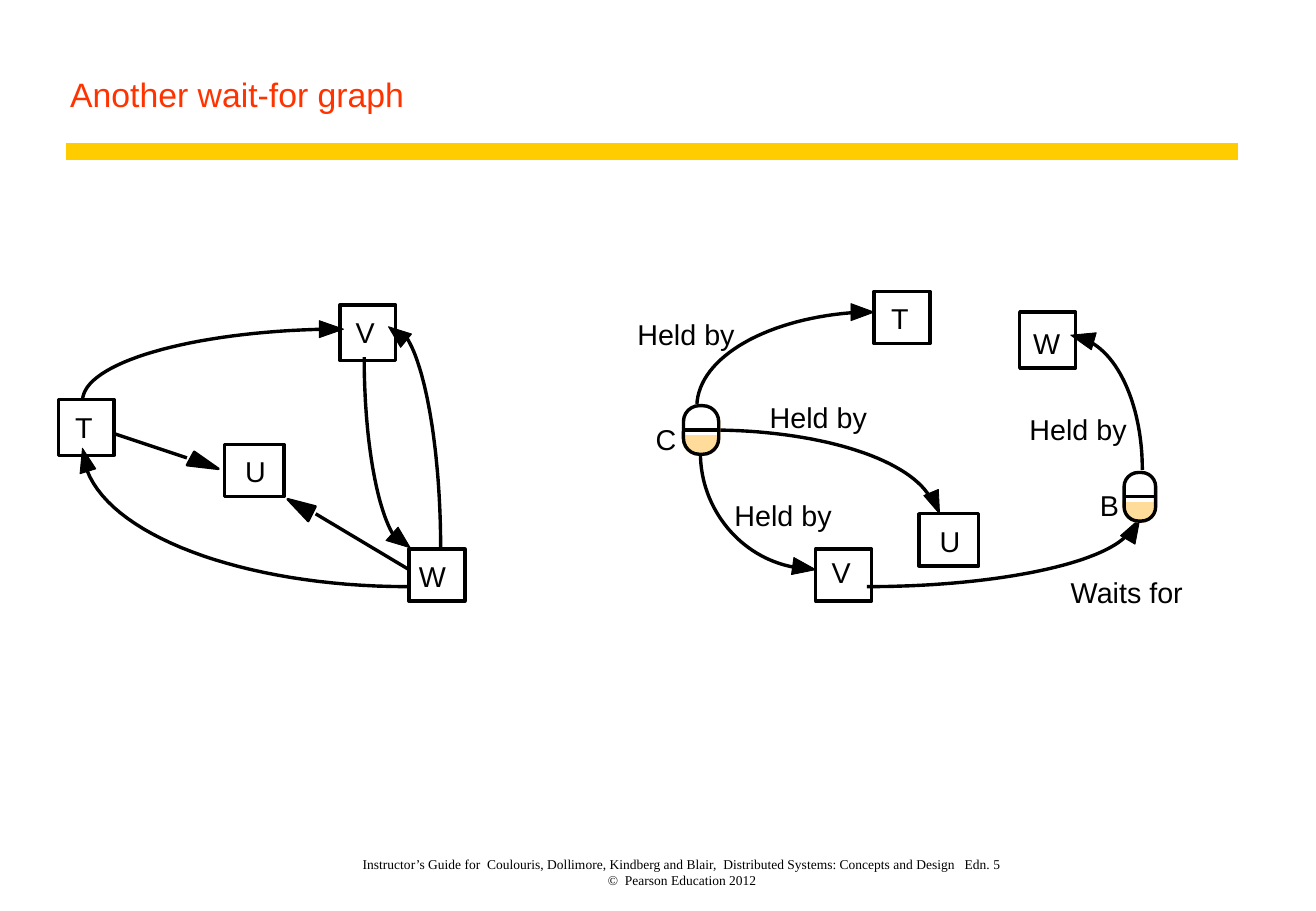
from lxml import etree
from pptx import Presentation
from pptx import util as u
from pptx.dml.color import RGBColor
from pptx.enum import shapes, text
from pptx.oxml.ns import qn

BLACK, WHITE, SAND, GOLD, RED = "000000", "FFFFFF", "FFDC99", "FFCC00", "FF3300"
INCH = 2.54  # the layout below is measured in inches


def paint(sp, fill=None, line=None, width=2):
    """Fill and outline a shape, or colour a connector."""
    if hasattr(sp, "fill"):
        sp.shadow.inherit = False
        if fill:
            sp.fill.solid()
            sp.fill.fore_color.rgb = RGBColor.from_string(fill)
        else:
            sp.fill.background()
    else:
        etree.SubElement(sp._element.spPr, qn("a:effectLst"))
    if line:
        sp.line.color.rgb = RGBColor.from_string(line)
        sp.line.width = u.Pt(width)
    else:
        sp.line.fill.background()


def write(words, box, size=17, name="Arial", color=BLACK, **frame):
    """Add a text box; frame holds text frame attributes."""
    tf = s.shapes.add_textbox(*(u.Cm(v * INCH) for v in box)).text_frame
    values = {"margin_left": 0, "margin_top": 0, "margin_right": 0,
              "margin_bottom": 0, "word_wrap": True, **frame}
    for key, value in values.items():
        setattr(tf, key, value)
    p = tf.paragraphs[0]
    p.text = words
    for key, value in {"size": u.Pt(size), "name": name}.items():
        setattr(p.font, key, value)
    p.font.color.rgb = RGBColor.from_string(color)
    return p


prs = Presentation()
prs.slide_width, prs.slide_height = u.Cm(10.84 * INCH), u.Cm(7.5 * INCH)
s = prs.slides.add_slide(prs.slide_layouts[6])

# Footer and title
p = write("Instructor’s Guide for  Coulouris, Dollimore, Kindberg and Blair,  "
          "Distributed Systems: Concepts and Design   Edn. 5\v"
          "©  Pearson Education 2012", (2.32, 6.92, 6.6, 0.39), 8,
          "Times New Roman", vertical_anchor=text.MSO_ANCHOR.BOTTOM)
p.alignment = text.PP_ALIGN.CENTER
write("Another wait-for graph", (0.48, 0, 9.72, 1), 20, color=RED,
      vertical_anchor=text.MSO_ANCHOR.BOTTOM,
      margin_left=u.Cm(0.25), margin_bottom=u.Cm(0.15))

# Transactions: name, box, label position
nodes = [
    ("T", (0.48, 3.29, 0.46, 0.46), (0.62, 3.37)),
    ("U", (1.85, 3.66, 0.49, 0.43), (2.02, 3.74)),
    ("V", (2.8, 2.51, 0.46, 0.46), (2.93, 2.59)),
    ("W", (3.37, 4.52, 0.46, 0.43), (3.45, 4.6)),
    ("T", (7.2, 2.4, 0.46, 0.43), (7.34, 2.48)),
    ("U", (7.57, 4.23, 0.49, 0.43), (7.74, 4.31)),
    ("V", (6.72, 4.52, 0.46, 0.43), (6.85, 4.57)),
    ("W", (8.4, 2.57, 0.46, 0.46), (8.51, 2.68)),
]
for name, box, label in nodes:
    sp = s.shapes.add_shape(shapes.MSO_SHAPE.RECTANGLE,
                            *(u.Cm(v * INCH) for v in box))
    paint(sp, WHITE, BLACK)
    write(name, (*label, 0.26, 0.28))

# Curved edges: four Bezier points
curves = [
    [(0.68, 3.3), (0.68, 2.99), (1.57, 2.73), (2.7, 2.71)],
    [(3.36, 4.83), (2, 4.83), (0.86, 4.4), (0.7, 3.82)],
    [(3.63, 4.52), (3.63, 3.73), (3.51, 3.03), (3.35, 2.78)],
    [(3, 2.94), (3, 3.6), (3.1, 4.19), (3.25, 4.42)],
    [(5.74, 3.34), (5.75, 2.94), (6.33, 2.61), (7.09, 2.57)],
    [(5.85, 3.54), (6.71, 3.54), (7.46, 3.76), (7.66, 4.09)],
    [(5.77, 3.73), (5.77, 4.19), (6.1, 4.59), (6.54, 4.67)],
    [(7.14, 4.83), (8.14, 4.83), (9.02, 4.66), (9.27, 4.42)],
    [(9.41, 3.87), (9.41, 3.37), (9.23, 2.94), (8.97, 2.81)],
]
STEPS = 32
for curve in curves:
    points = []
    for i in range(STEPS + 1):
        t = i / STEPS
        weights = ((1 - t) ** 3, 3 * t * (1 - t) ** 2, 3 * t * t * (1 - t), t ** 3)
        points.append([u.Cm(INCH * sum(w * c[axis] for w, c in zip(weights, curve)))
                       for axis in (0, 1)])
    fb = s.shapes.build_freeform(*points[0])
    fb.add_line_segments(points[1:], close=False)
    paint(fb.convert_to_shape(), line=BLACK)

# Arrowheads: base corner, base corner, tip
curve_heads = [
    [(2.63, 2.78), (2.63, 2.64), (2.83, 2.71)],
    [(0.79, 3.86), (0.66, 3.9), (0.68, 3.69)],
    [(3.39, 2.75), (3.3, 2.86), (3.2, 2.69)],
    [(3.18, 4.45), (3.28, 4.34), (3.38, 4.51)],
    [(7.01, 2.64), (7.01, 2.5), (7.2, 2.57)],
    [(7.61, 4.08), (7.73, 4.03), (7.74, 4.23)],
    [(6.52, 4.73), (6.54, 4.59), (6.72, 4.69)],
    [(9.35, 4.48), (9.23, 4.41), (9.39, 4.27)],
    [(9.03, 2.74), (8.99, 2.88), (8.82, 2.76)],
]
straight_heads = [
    [(1.6, 3.72), (1.54, 3.83), (1.8, 3.86)],
    [(2.54, 4.29), (2.6, 4.17), (2.37, 4.11)],
]
for heads, width in [(curve_heads, 0.5), (straight_heads, 1.5)]:
    for head in heads:
        points = [[u.Cm(v * INCH) for v in point] for point in head]
        fb = s.shapes.build_freeform(*points[0])
        fb.add_line_segments(points[1:])
        paint(fb.convert_to_shape(), BLACK, BLACK, width)

# Resources: half-filled capsules
capsules = [(5.63, 3.34, 0.29), (9.26, 3.89, 0.26)]
for x, y, w in capsules:
    for kind, h, fill, line in [
        (shapes.MSO_SHAPE.ROUNDED_RECTANGLE, 0.4, SAND, SAND),
        (shapes.MSO_SHAPE.RECTANGLE, 0.23, WHITE, WHITE),
        (shapes.MSO_SHAPE.ROUNDED_RECTANGLE, 0.4, None, BLACK),
    ]:
        sp = s.shapes.add_shape(kind, *(u.Cm(v * INCH) for v in (x, y, w, h)))
        if kind == shapes.MSO_SHAPE.ROUNDED_RECTANGLE:
            sp.adjustments[0] = 0.45
        paint(sp, fill, line)

# Straight lines: title rule, edges to U, capsule dividers
lines = [((0.54, 1.25, 10.2, 1.25), GOLD, 10),
         ((0.94, 3.57, 1.54, 3.77), BLACK, 2),
         ((3.37, 4.69, 2.6, 4.23), BLACK, 2)]
lines += [((x, y + 0.2, x + w, y + 0.2), BLACK, 2) for x, y, w in capsules]
for ends, color, width in lines:
    sp = s.shapes.add_connector(shapes.MSO_CONNECTOR.STRAIGHT,
                                *(u.Cm(v * INCH) for v in ends))
    paint(sp, line=color, width=width)

# Resource names and edge labels
labels = [("C", 5.4, 3.47, 0.2), ("B", 9.06, 4.02, 0.2),
          ("Held by", 5.25, 2.61, 0.9), ("Held by", 6.34, 3.29, 0.9),
          ("Held by", 6.05, 4.1, 0.9), ("Held by", 8.48, 3.39, 0.9),
          ("Waits for", 8.82, 4.73, 1.1)]
for words, x, y, w in labels:
    write(words, (x, y, w, 0.28))

prs.save("out.pptx")
